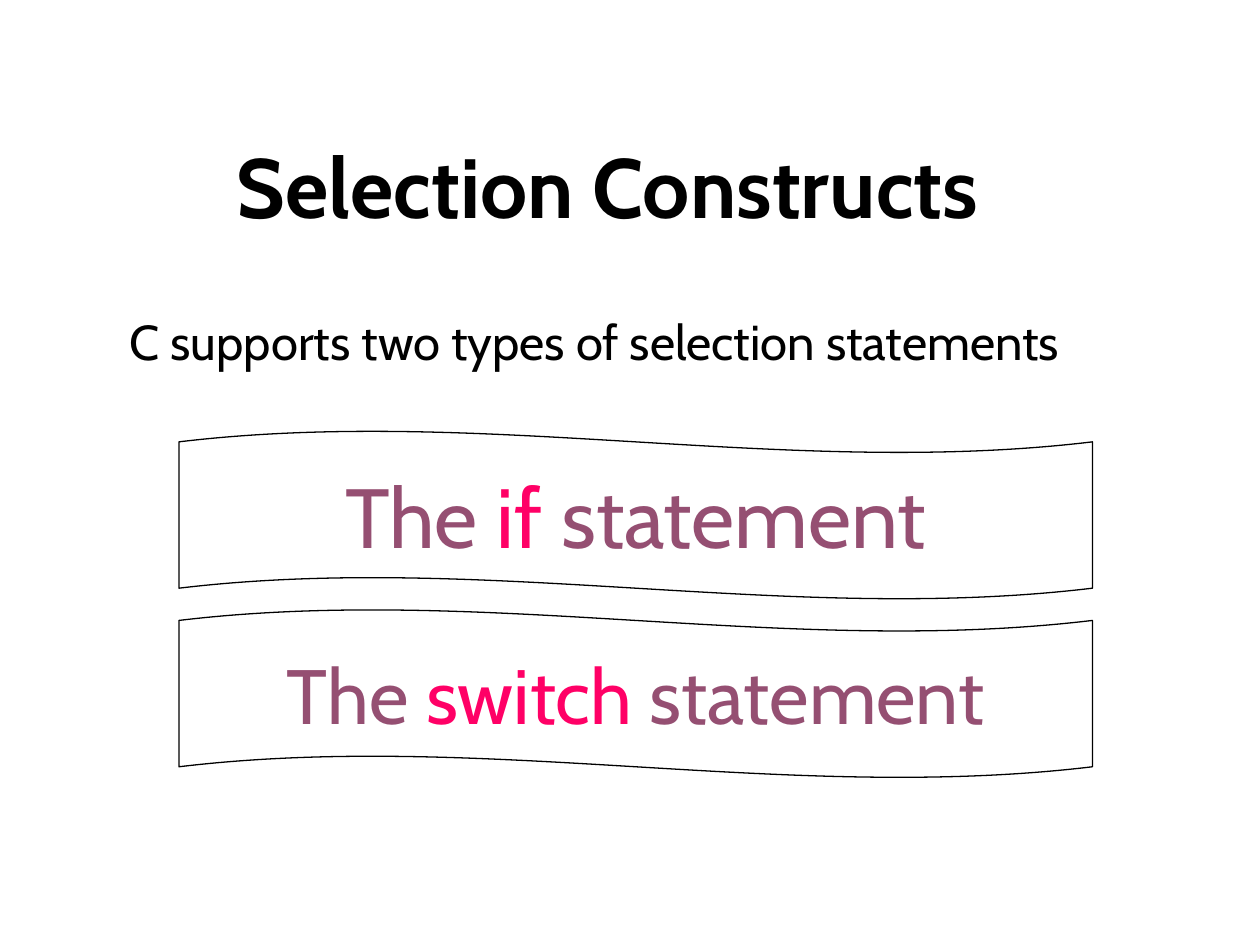
from pptx import Presentation
from pptx.dml.color import RGBColor
from pptx.enum.shapes import MSO_SHAPE
from pptx.enum.text import MSO_ANCHOR, PP_ALIGN
from pptx.util import Inches, Pt

COLORS = {"ink": "000000", "plum": "954F72", "keyword": "FF0066"}
WIDTH, HEIGHT = 10, 7.5
BANNER_TOP, BANNER_STEP = 0.456, 0.189


class SlideBuilder:
    """Hold the style and current slide; lengths are shares of the slide."""

    font = "Cabin"

    def __init__(self, prs):
        self.prs = prs
        self.slide = prs.slides.add_slide(prs.slide_layouts[6])

    def box(self, x, y, w, h):
        sw, sh = self.prs.slide_width, self.prs.slide_height
        return int(x * sw), int(y * sh), int(w * sw), int(h * sh)

    def style(self, font, size, color, bold=False):
        font.name, font.size, font.bold = self.font, Pt(size), bold
        font.color.rgb = RGBColor.from_string(COLORS[color])

    def text(self, x, y, w, h, words, size, bold=False):
        tf = self.slide.shapes.add_textbox(*self.box(x, y, w, h)).text_frame
        tf.word_wrap = True
        p = tf.paragraphs[0]
        p.text = words
        self.style(p.font, size, "ink", bold)

    def banner(self, x, y, w, h, keyword, size):
        """Draw a wavy outline naming one statement, its keyword highlighted."""
        sp = self.slide.shapes.add_shape(MSO_SHAPE.WAVE, *self.box(x, y, w, h))
        sp.adjustments[0] = 0.065
        sp.shadow.inherit = False
        sp.fill.background()
        sp.line.color.rgb = RGBColor.from_string(COLORS["ink"])
        sp.line.width = Pt(0.75)
        tf = sp.text_frame
        tf.word_wrap = False
        tf.vertical_anchor = MSO_ANCHOR.MIDDLE
        p = tf.paragraphs[0]
        p.alignment = PP_ALIGN.CENTER
        self.style(p.font, size, "plum")
        for words, color in (("The ", "plum"), (f"{keyword} ", "keyword"),
                             ("statement", "plum")):
            r = p.add_run()
            r.text = words
            self.style(r.font, size, color)


def main():
    prs = Presentation()
    prs.slide_width, prs.slide_height = Inches(WIDTH), Inches(HEIGHT)
    s = SlideBuilder(prs)
    s.text(0.178, 0.136, 0.702, 0.12, "Selection Constructs", 48, bold=True)
    s.text(0.093, 0.323, 0.838, 0.076,
           "C supports two types of selection statements", 28)
    for row, (keyword, size) in enumerate((("if", 48), ("switch", 44))):
        s.banner(0.142, BANNER_TOP + row * BANNER_STEP, 0.725, 0.178,
                 keyword, size)
    prs.save("out.pptx")


if __name__ == "__main__":
    main()
